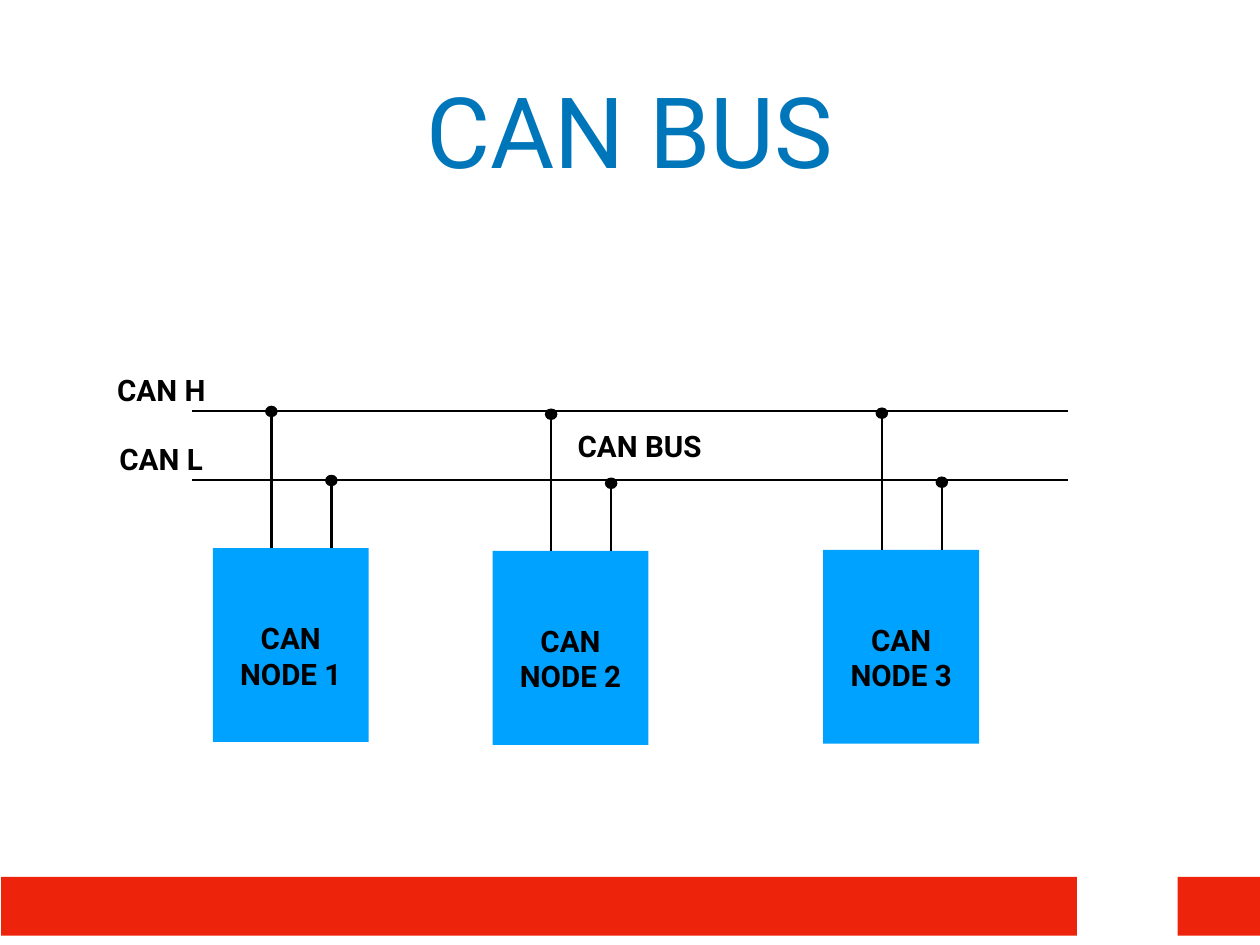
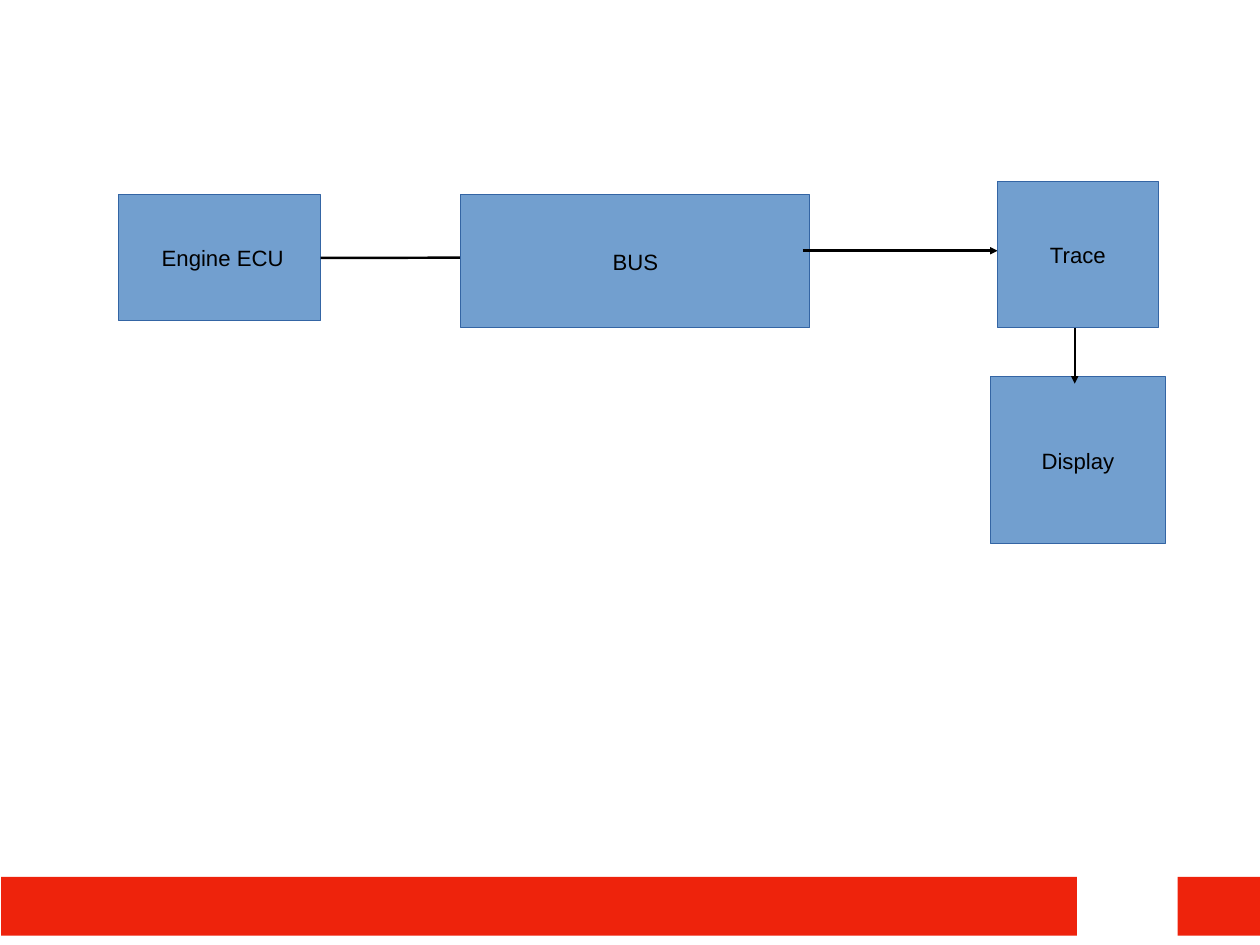
"""Build two slides on a CAN bus and its trace path."""
from lxml.etree import SubElement
from pptx import Presentation
from pptx.dml.color import RGBColor
from pptx.enum.shapes import MSO_CONNECTOR, MSO_SHAPE
from pptx.enum.text import MSO_ANCHOR, PP_ALIGN
from pptx.oxml.ns import qn
from pptx.util import Cm, Pt

BLACK, TITLE_BLUE, NODE_BLUE = "000000", "0076BA", "00A2FF"
BLOCK_BLUE, BLOCK_EDGE, BAND_RED = "729FCF", "3465A4", "EE230C"
TITLE_FONT = {"name": "Roboto", "size": Pt(80), "bold": False}
LABEL_FONT = {"name": "Roboto", "size": Pt(24), "bold": True}
BLOCK_FONT = {"name": "Arial", "size": Pt(18), "bold": False}
LABEL_MARGINS = (0.15, 0.15)
BLOCK_MARGINS = (0.25, 0.13)
BANDS = ((0.03, 30.84), (33.76, 2.36))
HIGH_LINE, LOW_LINE = 11.79, 13.77
BUS_LEFT, BUS_RIGHT = 5.51, 30.63
NODE_WIDTH, NODE_HEIGHT = 4.47, 5.56
STUBS = ((1.68, 3.92), (3.4, 1.94))
DOT_WIDTH, DOT_HEIGHT = 0.36, 0.33


def color(value):
    """Return the colour for a hex string."""
    return RGBColor.from_string(value)


def write(box, lines, font, margins, fill=BLACK, wrap=False):
    """Write centred lines into a box."""
    frame = box.text_frame
    side, edge = (Cm(margin) for margin in margins)
    settings = {"word_wrap": wrap, "vertical_anchor": MSO_ANCHOR.MIDDLE,
                "margin_left": side, "margin_right": side,
                "margin_top": edge, "margin_bottom": edge}
    for name, value in settings.items():
        setattr(frame, name, value)
    for index, line in enumerate(lines):
        para = frame.paragraphs[0] if index == 0 else frame.add_paragraph()
        para.alignment = PP_ALIGN.CENTER
        span = para.add_run()
        span.text = line
        for name, value in font.items():
            setattr(span.font, name, value)
        span.font.color.rgb = color(fill)


def add_label(page, place, lines, font=LABEL_FONT, fill=BLACK, wrap=False):
    """Add a text box at left, top, width, height."""
    box = page.shapes.add_textbox(*map(Cm, place))
    write(box, lines, font, LABEL_MARGINS, fill, wrap)


def add_solid(page, kind, place, fill, edge=None):
    """Add a filled shape, with a hairline edge if one is given."""
    shape = page.shapes.add_shape(kind, *map(Cm, place))
    shape.shadow.inherit = False
    shape.fill.solid()
    shape.fill.fore_color.rgb = color(fill)
    if edge:
        shape.line.color.rgb = color(edge)
        shape.line.width = Pt(0)
    else:
        shape.line.fill.background()
    return shape


def add_line(page, start, end, width=2, arrow=False):
    """Add a straight black line, with an arrowhead at its end if asked."""
    line = page.shapes.add_connector(
        MSO_CONNECTOR.STRAIGHT, *map(Cm, (*start, *end)))
    line.line.color.rgb = color(BLACK)
    line.line.width = Pt(width)
    if arrow:
        SubElement(line.line._get_or_add_ln(), qn("a:tailEnd"), type="triangle")
    SubElement(line._element.spPr, qn("a:effectLst"))
    return line


def add_block(page, place, text):
    """Add a labelled block of the trace path."""
    block = add_solid(page, MSO_SHAPE.RECTANGLE, place, BLOCK_BLUE, BLOCK_EDGE)
    write(block, [text], BLOCK_FONT, BLOCK_MARGINS)
    return block


def add_node(page, number, left, top):
    """Add a CAN node with its two taps on the bus."""
    place = (left, top, NODE_WIDTH, NODE_HEIGHT)
    add_solid(page, MSO_SHAPE.RECTANGLE, place, NODE_BLUE)
    add_label(page, (left, top + 0.3, NODE_WIDTH, NODE_HEIGHT),
              ["CAN", f"NODE {number}"])
    for offset, rise in STUBS:
        x, y = left + offset, top - rise
        add_line(page, (x, top), (x, y))
        dot = (x - DOT_WIDTH / 2, y - DOT_HEIGHT / 2, DOT_WIDTH, DOT_HEIGHT)
        add_solid(page, MSO_SHAPE.OVAL, dot, BLACK)


def add_page(deck):
    """Add a blank page with the red footer bands."""
    page = deck.slides.add_slide(deck.slide_layouts[6])
    for left, width in BANDS:
        add_solid(page, MSO_SHAPE.RECTANGLE, (left, 25.15, width, 1.68), BAND_RED)
    return page


def build_bus_page(deck):
    """Build the page with three nodes on the bus."""
    page = add_page(deck)
    add_label(page, (2.64, 0.71, 30.84, 5.99), ["CAN BUS"],
              TITLE_FONT, TITLE_BLUE, True)
    for height in (HIGH_LINE, LOW_LINE):
        add_line(page, (BUS_LEFT, height), (BUS_RIGHT, height))
    add_label(page, (3.15, 10.52, 2.95, 1.3), ["CAN H"])
    add_label(page, (3.2, 12.5, 2.84, 1.3), ["CAN L"])
    add_label(page, (16.28, 12.14, 4.11, 1.3), ["CAN BUS"])
    places = ((6.1, 15.72), (14.12, 15.8), (23.6, 15.77))
    for number, (left, top) in enumerate(places, 1):
        add_node(page, number, left, top)


def build_trace_page(deck):
    """Build the page that leads from the engine to the display."""
    page = add_page(deck)
    engine = add_block(page, (3.4, 5.59, 5.79, 3.61), " Engine ECU")
    feed = add_line(page, (9.19, 7.39), (13.41, 7.39), 0, True)
    feed.begin_connect(engine, 3)
    add_block(page, (13.21, 5.59, 10.01, 3.81), "BUS")
    add_line(page, (23.01, 7.19), (28.6, 7.19), 0, True)
    add_block(page, (28.6, 5.21, 4.6, 4.19), "Trace")
    add_block(page, (28.4, 10.8, 5, 4.8), "Display")
    add_line(page, (30.81, 9.4), (30.81, 11), 0, True)


def main():
    """Build and save the deck."""
    deck = Presentation()
    deck.slide_width, deck.slide_height = Cm(36.12), Cm(27.1)
    build_bus_page(deck)
    build_trace_page(deck)
    deck.save("out.pptx")


if __name__ == "__main__":
    main()
